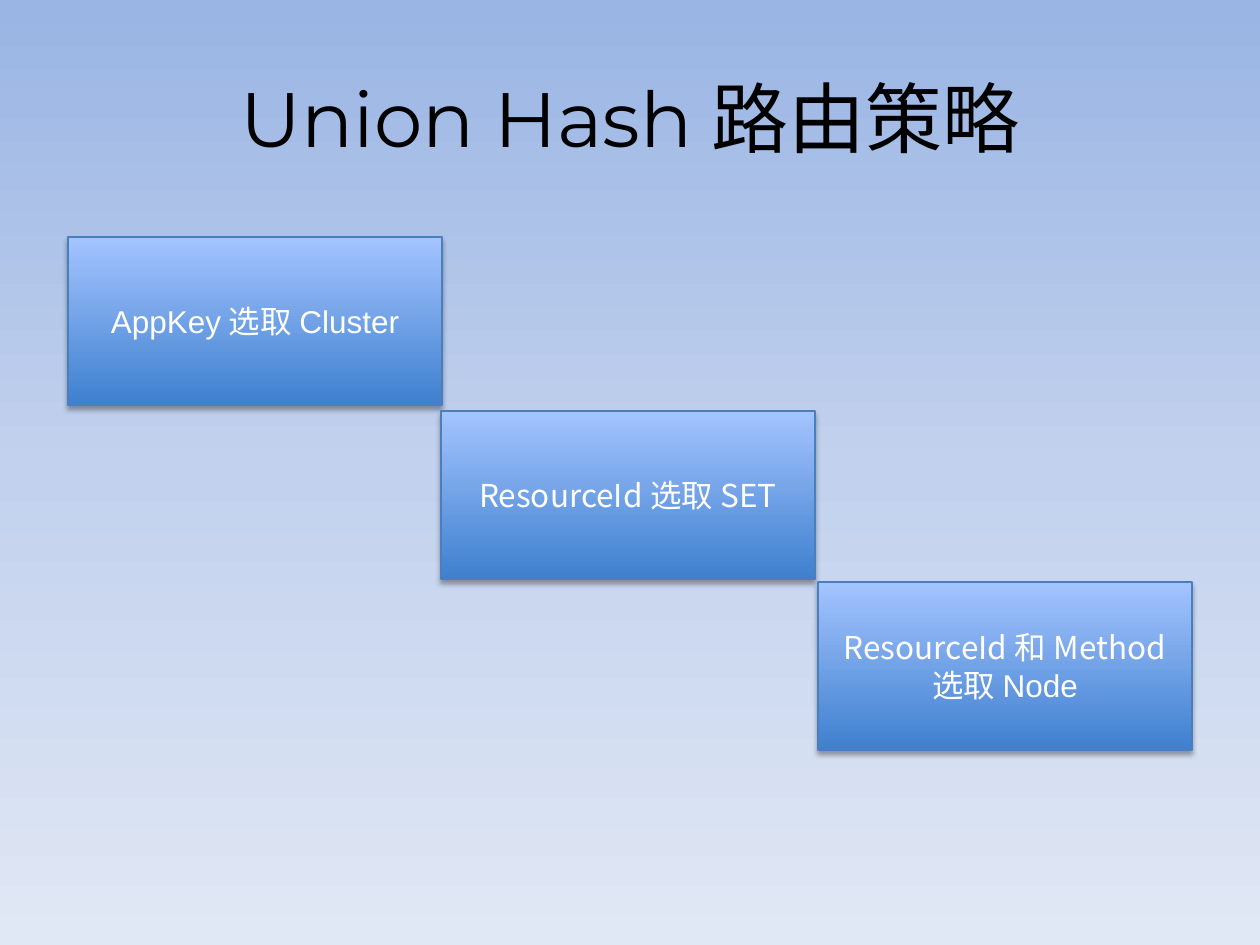
"""Build the slide on the three-step Union Hash routing strategy."""
from copy import deepcopy
from dataclasses import dataclass
from typing import NamedTuple

from lxml import etree
from pptx import Presentation
from pptx.dml.color import RGBColor
from pptx.enum.shapes import MSO_SHAPE
from pptx.enum.text import MSO_ANCHOR, PP_ALIGN
from pptx.oxml.ns import qn
from pptx.util import Emu, Pt

RECTANGLE = MSO_SHAPE.RECTANGLE
MIDDLE = MSO_ANCHOR.MIDDLE
CENTER = PP_ALIGN.CENTER
EMU_PER_PIXEL = 914400 / 126
TITLE_ONLY = 5
BOX_WIDTH, BOX_HEIGHT = 374, 168


@dataclass(frozen=True)
class Theme:
    """Colours, fonts and type sizes of the slide."""
    title_font: str = "Montserrat"
    latin_font: str = "Arial"
    chinese_font: str = "Noto Sans CJK SC"
    title_size: int = 44
    body_size: int = 18
    title_color: str = "000000"
    body_color: str = "FFFFFF"
    outline: str = "4B7EBC"
    shadow: str = "000000"
    background: tuple[str, ...] = ("9AB5E4", "C2D1ED", "E1E8F5")
    box: tuple[str, ...] = ("3F80CE", "A4C4FF")


THEME = Theme()


class Span(NamedTuple):
    """A piece of text in one font."""
    text: str
    font: str = THEME.chinese_font


class Step(NamedTuple):
    """A routing step: its corner in pixels and its lines of spans."""
    left: int
    top: int
    lines: tuple[tuple[Span, ...], ...]


STEPS = (
    Step(68, 237, ((Span("AppKey", THEME.latin_font), Span("选取"),
                    Span("Cluster", THEME.latin_font)),)),
    Step(441, 411, ((Span("ResourceId选取SET"),),)),
    Step(818, 582, ((Span("ResourceId和Method"),),
                    (Span("选取"), Span("Node", THEME.latin_font)))),
)


def pixels(length: float) -> Emu:
    """Turn pixels into EMU."""
    return Emu(round(length * EMU_PER_PIXEL))


def set_font(font, name: str) -> None:
    """Set the Latin face, and the Chinese face used beside it."""
    font.name = name
    latin = font._element.find(qn("a:latin"))
    east_asian = etree.Element(qn("a:ea"), typeface=THEME.chinese_font)
    latin.addnext(east_asian)


def set_gradient(fill, owner, colors: tuple[str, ...], angle: int) -> None:
    """Fill with evenly spaced colours at a counter-clockwise angle."""
    fill.gradient()
    fill.gradient_angle = angle
    stop_list = next(owner.iter(qn("a:gsLst")))
    for _ in colors[len(stop_list):]:
        stop_list.append(deepcopy(stop_list[-1]))
    for index, (stop, color) in enumerate(zip(fill.gradient_stops, colors)):
        stop.position = index / (len(colors) - 1)
        stop.color.rgb = RGBColor.from_string(color)


def add_shadow(box) -> None:
    """Give the box a soft shadow straight below."""
    box.shadow.inherit = False
    effects = box._element.spPr.find(qn("a:effectLst"))
    shadow = etree.SubElement(effects, qn("a:outerShdw"), blurRad=str(Pt(3.1)),
                              dist=str(Pt(1.8)), dir="5400000", rotWithShape="0")
    color = etree.SubElement(shadow, qn("a:srgbClr"), val=THEME.shadow)
    etree.SubElement(color, qn("a:alpha"), val="35000")


def write_line(paragraph, spans: tuple[Span, ...], size: int, color: str) -> None:
    """Write one centred line of text."""
    paragraph.alignment = CENTER
    paragraph.font.size = Pt(size)
    paragraph.font.color.rgb = RGBColor.from_string(color)
    fonts = {span.font for span in spans}
    if len(fonts) == 1:
        set_font(paragraph.font, spans[0].font)
    for span in spans:
        run = paragraph.add_run()
        run.text = span.text
        if len(fonts) > 1:
            set_font(run.font, span.font)


def add_title(slide, spans: tuple[Span, ...]) -> None:
    """Place and write the title."""
    title = slide.shapes.title
    title.left, title.top, title.width, title.height = map(pixels, (63, 38, 1134, 157))
    title.text_frame.vertical_anchor = MIDDLE
    write_line(title.text_frame.paragraphs[0], spans, THEME.title_size, THEME.title_color)


def add_step(slide, step: Step) -> None:
    """Draw one routing step."""
    bounds = map(pixels, (step.left, step.top, BOX_WIDTH, BOX_HEIGHT))
    box = slide.shapes.add_shape(RECTANGLE, *bounds)
    set_gradient(box.fill, box._element, THEME.box, 90)
    box.line.color.rgb = RGBColor.from_string(THEME.outline)
    box.line.width = Pt(0.75)
    add_shadow(box)
    frame = box.text_frame
    frame.word_wrap = True
    frame.vertical_anchor = MIDDLE
    for index, spans in enumerate(step.lines):
        paragraph = frame.add_paragraph() if index else frame.paragraphs[0]
        write_line(paragraph, spans, THEME.body_size, THEME.body_color)


def main() -> None:
    """Build and save the deck."""
    deck = Presentation()
    deck.slide_width, deck.slide_height = pixels(1260), pixels(945)
    slide = deck.slides.add_slide(deck.slide_layouts[TITLE_ONLY])
    set_gradient(slide.background.fill, slide._element, THEME.background, 270)
    add_title(slide, (Span("Union Hash路由策略", THEME.title_font),))
    for step in STEPS:
        add_step(slide, step)
    deck.save("out.pptx")


main()
